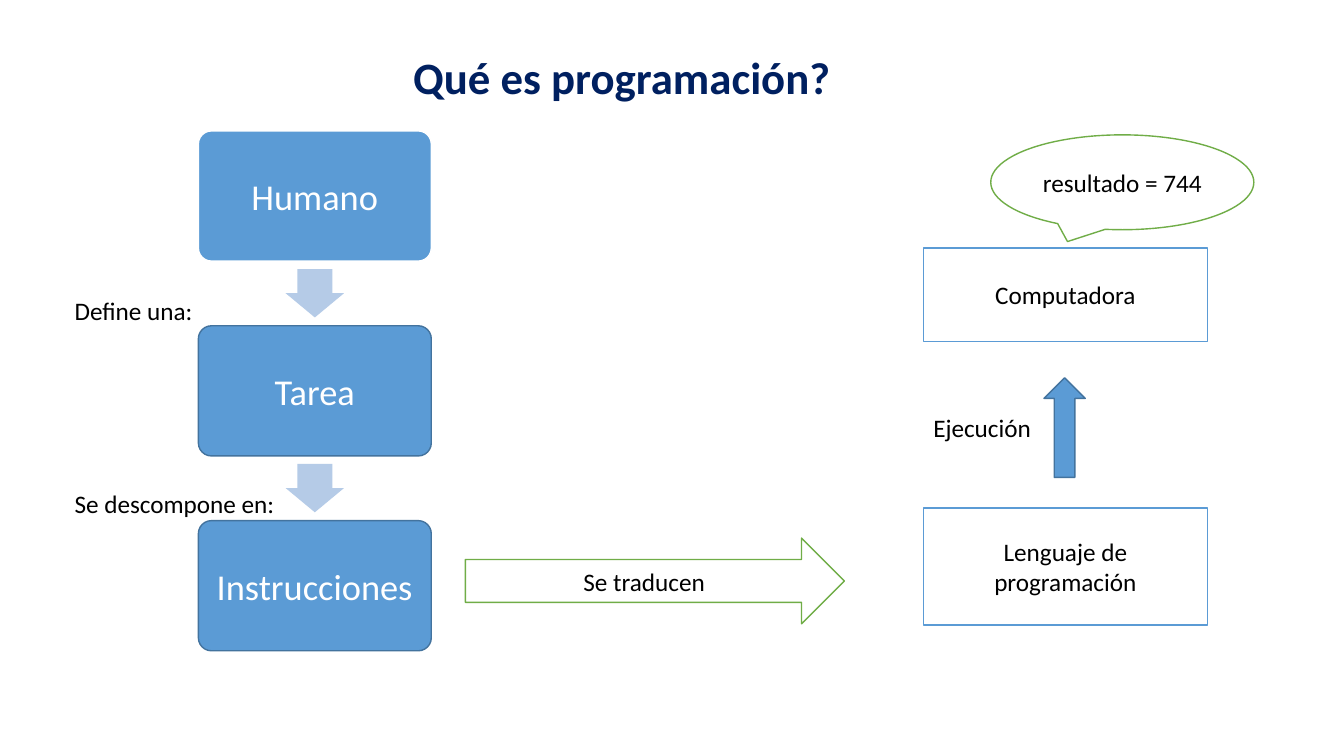
from lxml.etree import SubElement
from pptx import Presentation
from pptx.dml.color import RGBColor
from pptx.enum.shapes import MSO_SHAPE as Shape
from pptx.enum.text import MSO_ANCHOR as Anchor, PP_ALIGN as Align
from pptx.util import Cm, Pt

BLUE, DARK_BLUE, PALE_BLUE = "5B9BD5", "43739E", "B5CBE7"
NAVY, GREEN, WHITE, BLACK = "002060", "70AD47", "FFFFFF", "000000"


def color(value):
    return RGBColor.from_string(value)


def write(frame, text, size=18, ink=BLACK, bold=False, align=Align.CENTER,
          anchor=Anchor.MIDDLE):
    frame.word_wrap = True
    frame.vertical_anchor = anchor
    paragraph = frame.paragraphs[0]
    paragraph.alignment = align
    run = paragraph.add_run()
    run.text = text
    run.font.name = "Calibri"
    run.font.size = Pt(size)
    run.font.bold = bold
    run.font.color.rgb = color(ink)


class Diagram:
    def __init__(self, slide):
        self.slide = slide

    def shape(self, kind, box, fill=WHITE, line=None, adjust=(), text="", **style):
        shape = self.slide.shapes.add_shape(kind, *map(Cm, box))
        shape.shadow.inherit = False
        shape.fill.solid()
        shape.fill.fore_color.rgb = color(fill)
        if line:
            shape.line.color.rgb = color(line)
            shape.line.width = Pt(1)
        else:
            shape.line.fill.background()
        for index, value in enumerate(adjust):
            shape.adjustments[index] = value
        if text:
            write(shape.text_frame, text, **style)
        return shape

    def label(self, box, text, **style):
        frame = self.slide.shapes.add_textbox(*map(Cm, box)).text_frame
        write(frame, text, **style)


def main():
    presentation = Presentation()
    presentation.slide_width, presentation.slide_height = Cm(33.87), Cm(19.05)
    slide = presentation.slides.add_slide(presentation.slide_layouts[6])
    diagram = Diagram(slide)

    # Title
    diagram.label((7.24, 0.1, 16.87, 3.68), "Qué es programación?",
                  size=32, ink=NAVY, bold=True)

    # Steps from human to instructions, with an arrow between each pair
    steps = (("Humano", WHITE), ("Tarea", DARK_BLUE), ("Instrucciones", DARK_BLUE))
    step_top, step_pitch = 3.3, 4.91
    for index, (name, outline) in enumerate(steps):
        top = step_top + index * step_pitch
        diagram.shape(Shape.ROUNDED_RECTANGLE, (5, top, 5.87, 3.28), BLUE, outline,
                      adjust=(0.1,), text=name, size=26, ink=WHITE)
        if index < len(steps) - 1:
            diagram.shape(Shape.DOWN_ARROW, (7.2, top + 3.48, 1.47, 1.22), PALE_BLUE,
                          adjust=(0.6, 0.5))

    # Translation into a language that the computer runs
    diagram.shape(Shape.RIGHT_ARROW, (11.73, 13.56, 9.55, 2.16), line=GREEN,
                  text="Se traducen")
    diagram.shape(Shape.RECTANGLE, (23.27, 12.8, 7.16, 2.95), line=BLUE,
                  text="Lenguaje de programación")
    diagram.shape(Shape.UP_ARROW, (26.31, 9.52, 1.04, 2.51), BLUE, DARK_BLUE)
    diagram.shape(Shape.RECTANGLE, (23.27, 6.25, 7.16, 2.36), line=BLUE,
                  text="Computadora")
    diagram.shape(Shape.OVAL_CALLOUT, (24.97, 3.4, 6.63, 2.39), line=GREEN,
                  text="resultado = 744")

    # Labels beside the arrows
    for left, top, width, text in (
        (1.63, 7.32, 4.17, "Define una:"),
        (1.63, 12.17, 5.61, "Se descompone en:"),
        (23.27, 10.26, 3.43, "Ejecución"),
    ):
        diagram.label((left, top, width, 1.02), text, align=Align.LEFT,
                      anchor=Anchor.TOP)

    presentation.save("out.pptx")


if __name__ == "__main__":
    main()
